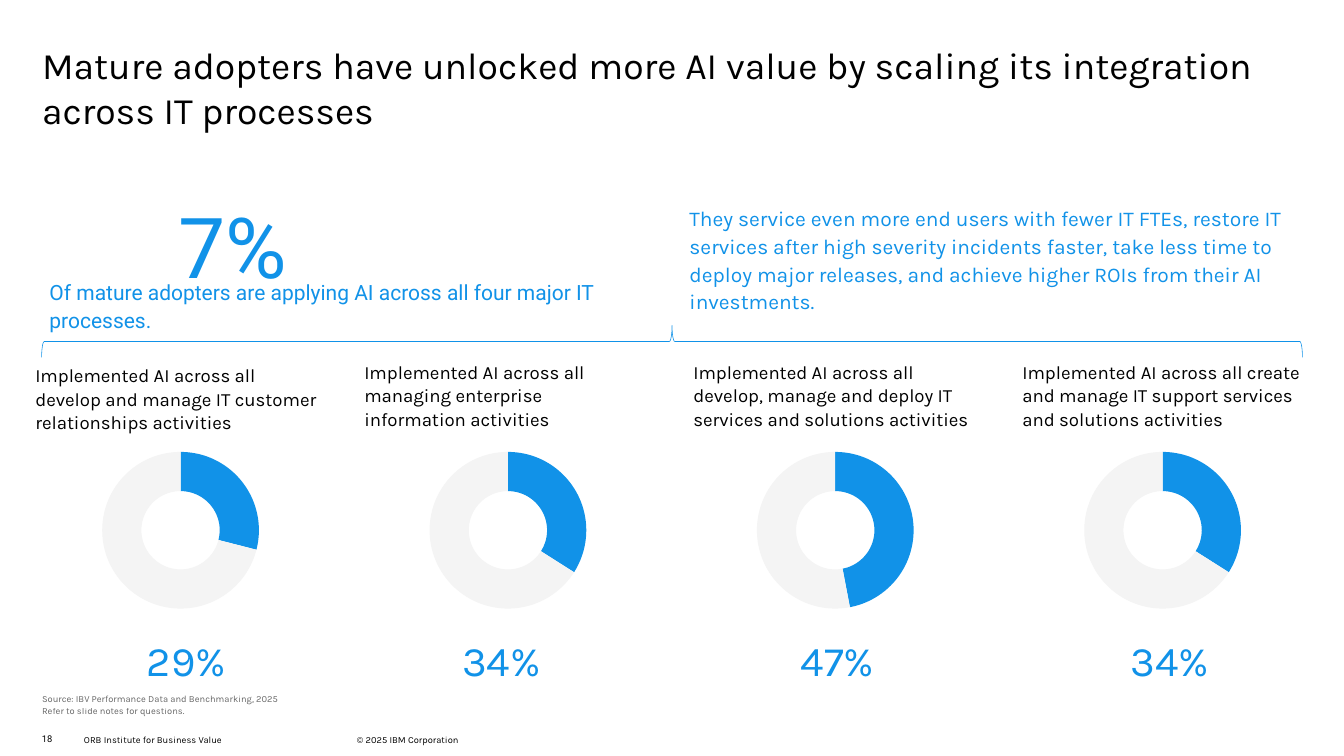
from lxml import etree
from pptx import Presentation
from pptx.chart.data import CategoryChartData
from pptx.dml.color import RGBColor
from pptx.enum import chart as charts, shapes, text
from pptx.oxml import parse_xml
from pptx.oxml.ns import nsdecls, qn
from pptx.util import Inches, Pt

BLUE = RGBColor(0x11, 0x92, 0xE8)
PALE = RGBColor(0xF4, 0xF4, 0xF4)
BLACK = RGBColor(0, 0, 0)
LEFT, CENTER = text.PP_ALIGN.LEFT, text.PP_ALIGN.CENTER
TOP, MIDDLE, BOTTOM = (text.MSO_ANCHOR.TOP, text.MSO_ANCHOR.MIDDLE,
                       text.MSO_ANCHOR.BOTTOM)
NO_INSET = (0, 0, 0, 0)
LABEL_INSET = (0.25, 0.2, 0.2, 0)
BOX_INSET = (0.1, 0.05, 0.1, 0.05)

TITLE = ("Mature adopters have unlocked more AI value by scaling its "
         "integration across IT processes")
SHARE = "7%"
SHARE_NOTE = ("Of mature adopters are applying AI across all four major "
              "IT processes.")
BENEFITS = ("They service even more end users with fewer IT FTEs, restore IT "
            "services after high severity incidents faster, take less time to "
            "deploy major releases, and achieve higher ROIs from their AI "
            "investments.")
SOURCE = ["Source: IBV Performance Data and Benchmarking, 2025",
          "Refer to slide notes for questions."]

# label, label top, percent, centre of the percent figure
PROCESSES = [
    ("Implemented AI across all develop and manage IT customer relationships "
     "activities", 4.12, 29, 2.22),
    ("Implemented AI across all managing enterprise information activities",
     4.08, 34, 5.97),
    ("Implemented AI across all develop, manage and deploy IT services and "
     "solutions activities", 4.08, 47, 9.97),
    ("Implemented AI across all create and manage IT support services and "
     "solutions activities", 4.08, 34, 13.93),
]
LABEL_LEFT, LABEL_STEP = 0.17, 3.917
CHART_LEFT, CHART_STEP = 0.58, 3.897

# text, left, top, width, height, font, anchor
FOOTER = [
    ("18", 0.5, 8.73, 0.5, 0.28, "Roboto", TOP),
    ("ORB Institute for Business Value", 1, 8.69, 2.5, 0.24, "Karla", MIDDLE),
    ("© 2025 IBM Corporation", 4.25, 8.69, 2.5, 0.24, "Karla", MIDDLE),
]


def set_text(box, lines, size, color=BLACK, font="Karla", align=LEFT,
             spacing=1.1, inset=BOX_INSET, anchor=TOP):
    frame = box.text_frame
    sides = [Inches(side) for side in inset]
    settings = {"word_wrap": True, "auto_size": text.MSO_AUTO_SIZE.NONE,
                "vertical_anchor": anchor,
                **dict(zip(("margin_left", "margin_top", "margin_right",
                            "margin_bottom"), sides))}
    for name, value in settings.items():
        setattr(frame, name, value)
    frame.text = "\n".join(lines)
    for para in frame.paragraphs:
        para.alignment, para.line_spacing = align, spacing
        for span in para.runs:
            for name, value in {"name": font, "size": Pt(size)}.items():
                setattr(span.font, name, value)
            span.font.color.rgb = color


def add_text(page, place, lines, size, **formats):
    box = page.shapes.add_textbox(*map(Inches, place))
    set_text(box, lines, size, **formats)
    return box


def add_doughnut(page, left, percent):
    data = CategoryChartData()
    data.categories = ["1", "2"]
    data.add_series("Series 1", [percent, 100 - percent])
    place = map(Inches, (left, 5.38, 2.96, 2))
    chart = page.shapes.add_chart(charts.XL_CHART_TYPE.DOUGHNUT, *place,
                                  data).chart
    chart.has_legend = chart.has_title = False
    chart.font.name, chart.font.size = "Karla", Pt(18)
    chart.font.color.rgb = BLACK
    plot = chart.plots[0]
    plot.vary_by_categories = False
    for index, color in enumerate((BLUE, PALE)):
        look = plot.series[0].points[index].format
        look.fill.solid()
        look.fill.fore_color.rgb = color
        look.line.fill.background()

    area = chart.element.find(".//" + qn("c:plotArea"))
    area.find(".//" + qn("c:holeSize")).set("val", "73")
    for layout in area.findall(qn("c:layout")):
        area.remove(layout)
    parts = [("layoutTarget", "inner"), ("xMode", "edge"), ("yMode", "edge"),
             ("x", 0.194), ("y", 0), ("w", 0.673), ("h", 0.933)]
    inner = "".join(f'<c:{tag} val="{value}"/>' for tag, value in parts)
    area.insert(0, parse_xml(f'<c:layout {nsdecls("c")}><c:manualLayout>'
                             f'{inner}</c:manualLayout></c:layout>'))


def add_brace(page):
    brace = page.shapes.add_shape(shapes.MSO_SHAPE.LEFT_BRACE, Inches(7.81),
                                  Inches(-3.44), Inches(0.38), Inches(15.01))
    brace.rotation = 90
    brace.shadow.inherit = False
    brace.fill.background()
    brace.line.color.rgb, brace.line.width = BLUE, Pt(0.5)


def main():
    deck = Presentation()
    deck.slide_width, deck.slide_height = Inches(16), Inches(9)
    page = deck.slides.add_slide(deck.slide_layouts[5])

    title = page.shapes.title
    title.left, title.top, title.width, title.height = map(
        Inches, (0.5, 0.5, 15, 1.41))
    set_text(title, [TITLE], 32, spacing=1.0, inset=NO_INSET)

    for line, left, top, width, height, font, anchor in FOOTER:
        add_text(page, (left, top, width, height), [line], 8, font=font,
                 spacing=1.0, inset=NO_INSET, anchor=anchor)

    for index, (label, top, percent, middle) in enumerate(PROCESSES):
        add_text(page, (LABEL_LEFT + index * LABEL_STEP, top, 3.82, 1.2),
                 [label], 16, spacing=1.05, inset=LABEL_INSET)
        add_doughnut(page, CHART_LEFT + index * CHART_STEP, percent)
        add_text(page, (middle - 1.8, 7.44, 3.6, 0.73), [f"{percent}%"], 36,
                 color=BLUE, align=CENTER)

    source = add_text(page, (0.5, 8, 3.25, 0.53), SOURCE, 8, inset=NO_INSET,
                      anchor=BOTTOM)
    for color in source.element.iter(qn("a:srgbClr")):
        etree.SubElement(color, qn("a:alpha")).set("val", "60000")

    add_brace(page)
    add_text(page, (1.06, 2.2, 3.43, 0.38), [SHARE], 72, color=BLUE,
             font="Roboto", align=CENTER, inset=NO_INSET)
    add_text(page, (8.11, 2.37, 7.39, 1.41), [BENEFITS], 18, color=BLUE)
    add_text(page, (0.49, 3.25, 7.08, 0.75), [SHARE_NOTE], 18, color=BLUE,
             font="Roboto")
    deck.save("out.pptx")


if __name__ == "__main__":
    main()
